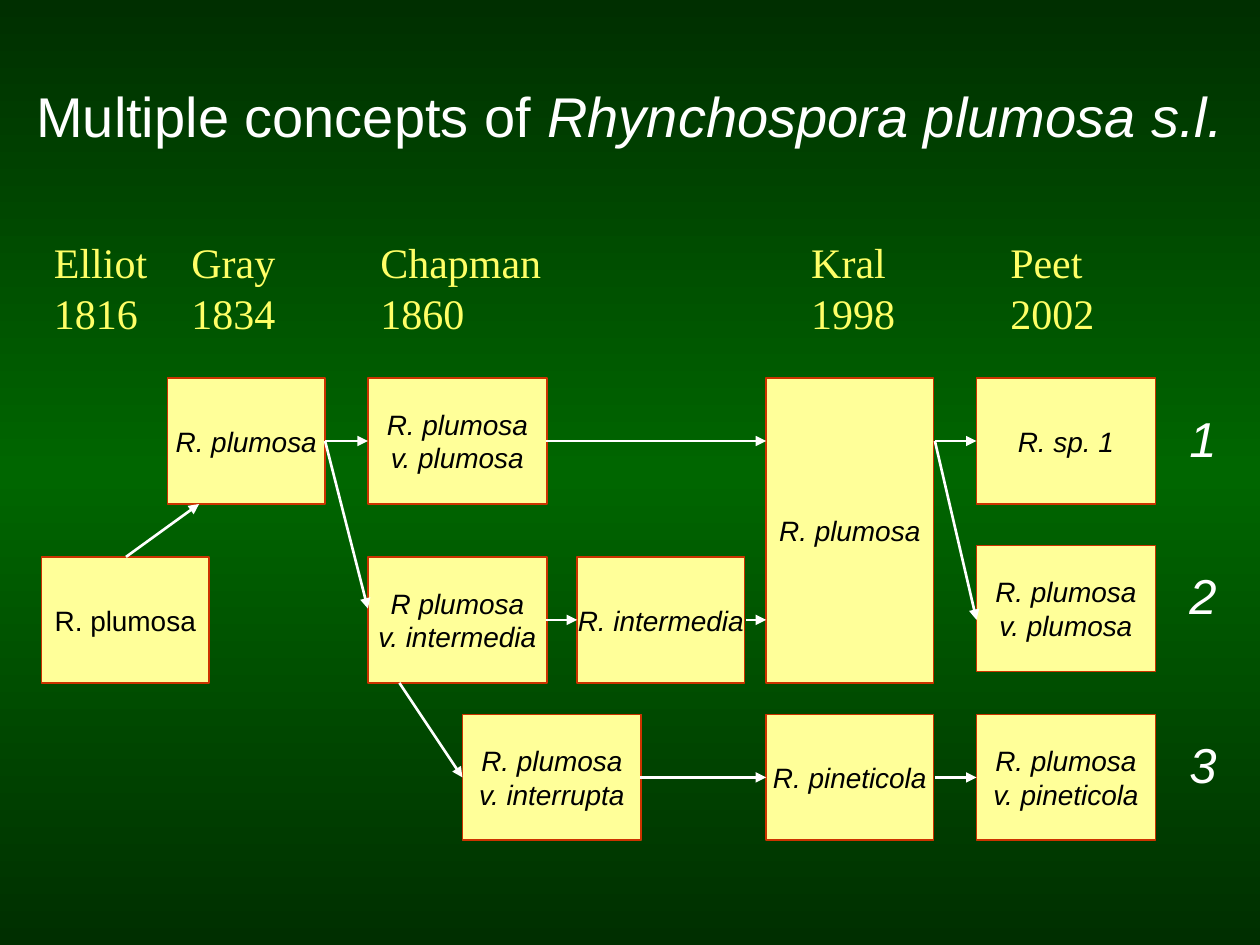
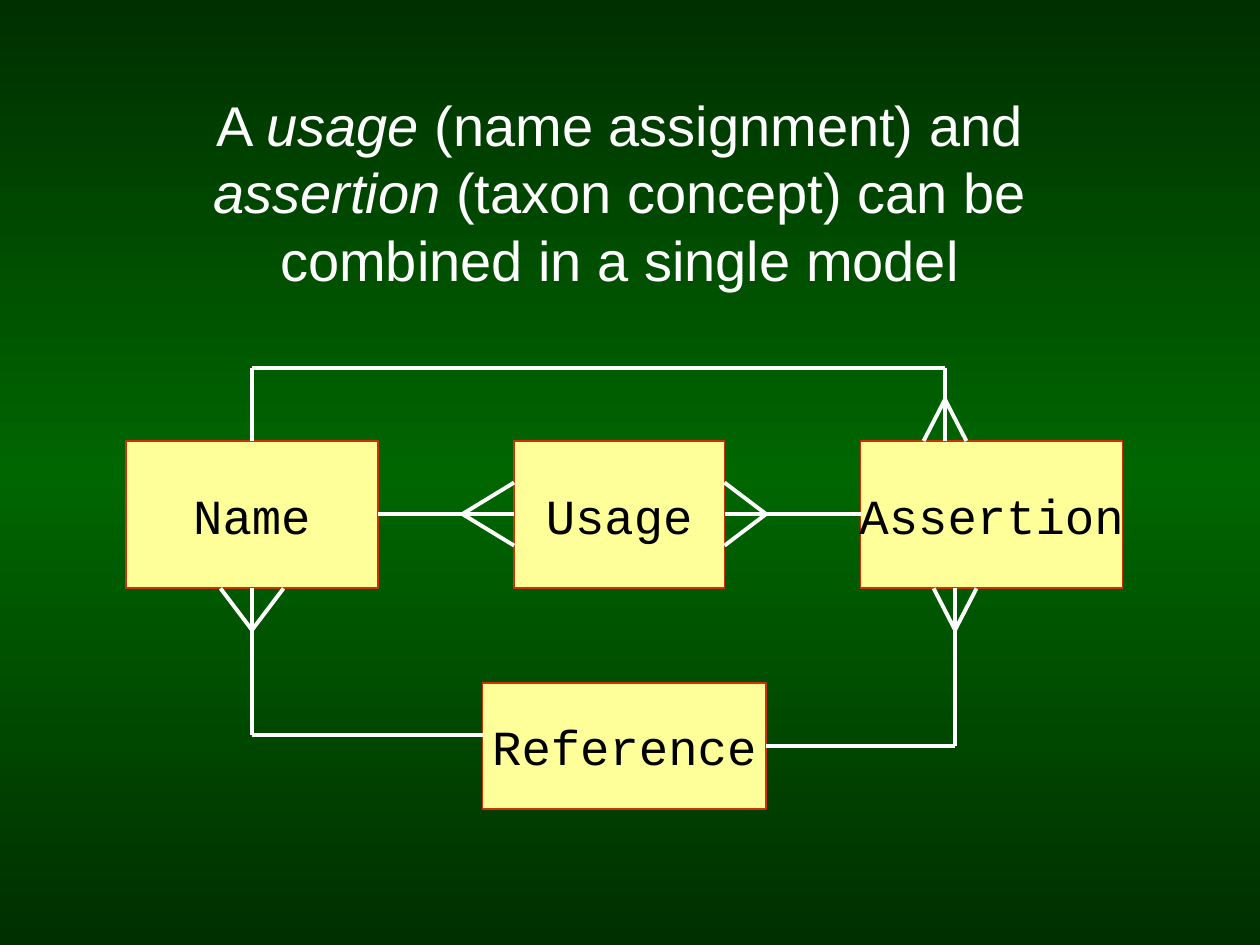
from copy import deepcopy
from itertools import pairwise

from pptx import Presentation
from pptx.dml.color import RGBColor
from pptx.enum.shapes import MSO_CONNECTOR, MSO_SHAPE
from pptx.enum.text import MSO_ANCHOR, MSO_AUTO_SIZE, PP_ALIGN
from pptx.oxml.ns import qn
from pptx.oxml.xmlchemy import OxmlElement
from pptx.util import Inches, Pt

# Shared look
GRADIENT = [(0, "002F00"), (0.5, "006600"), (1, "002F00")]
BOX_FILL, BOX_LINE, LINK = "FFFF99", "CC3300", "FFFFFF"
TITLE = {"name": "Arial", "size": 32, "color": "FFFFFF"}
TAXON = {"name": "Arial", "size": 16, "color": "000000", "italic": True}
PLAIN_TAXON = {**TAXON, "italic": False}
AUTHOR = {"name": "Times New Roman", "size": 24, "color": "FFFF66"}
NUMBER = {"name": "Arial", "size": 28, "color": "FFFFFF", "italic": True}
ENTITY = {"name": "Courier New", "size": 28, "color": "000000"}
LEADING = 1.2

# Slide 1: text in *stars* is italic, "\n" starts a paragraph
CONCEPT_TITLE = "Multiple concepts of* Rhynchospora plumosa s.l.*"
AUTHORS = [  # text, left, width
    ("Elliot 1816", 0.33, 1.02),
    ("Gray\n1834", 1.42, 0.95),
    ("Chapman\n1860", 2.92, 1.48),
    ("Kral\n1998", 6.34, 0.9),
    ("Peet\n2002", 7.92, 0.9),
]
AUTHOR_TOP, AUTHOR_HEIGHT = 1.83, 0.9
ROW1, ROW2, ROW3 = 3, 4.42, 5.67
CONCEPTS = [  # text, left, top, width, height
    ("R. plumosa", 1.33, ROW1, 1.25, 1),
    ("R plumosa\nv. intermedia", 2.92, ROW2, 1.42, 1),
    ("R. plumosa\nv. plumosa", 2.92, ROW1, 1.42, 1),
    ("R. intermedia", 4.58, ROW2, 1.33, 1),
    ("R. plumosa\nv. interrupta", 3.67, ROW3, 1.42, 1),
    ("R. pineticola", 6.08, ROW3, 1.33, 1),
    ("R. plumosa", 6.08, ROW1, 1.33, 2.42),
    ("R. sp. 1", 7.75, ROW1, 1.42, 1),
    ("R. plumosa\nv. plumosa", 7.75, 4.33, 1.42, 1),
    ("R. plumosa\nv. pineticola", 7.75, ROW3, 1.42, 1),
]
FIRST_CONCEPT = ("R. plumosa", 0.33, ROW2, 1.33, 1)
ROW_ARROWS = [  # y, then (from x, to x) pairs
    (3.5, [(2.58, 2.92), (4.33, 6.08), (7.42, 7.75)]),
    (4.92, [(4.33, 4.58), (5.92, 6.08)]),
    (6.17, [(5.08, 6.08), (7.42, 7.75)]),
]
SLANTED_ARROWS = [
    ((1, 4.42), (1.58, 4)),
    ((2.58, 3.5), (2.92, 4.83)),
    ((3.17, 5.42), (3.67, 6.17)),
    ((7.42, 3.5), (7.75, 4.92)),
]
NUMBERS = [("1", 3.19), ("2", 4.44), ("3", 5.78)]

# Slide 2
MODEL_TITLE = ("A *usage* (name assignment) and *assertion* (taxon concept) "
               "can be combined in a single model")
ENTITIES = [
    ("Name", 1, 3.5, 2, 1.17),
    ("Assertion", 6.83, 3.5, 2.08, 1.17),
    ("Usage", 4.08, 3.5, 1.67, 1.17),
    ("Reference", 3.83, 5.42, 2.25, 1),
]
RELATIONS = [  # corner points of each line
    [(3, 4.08), (4.08, 4.08)],
    [(5.75, 4.08), (6.83, 4.08)],
    [(2, 3.5), (2, 2.92), (7.5, 2.92), (7.5, 3.5)],
    [(2, 4.67), (2, 5.83), (3.83, 5.83)],
    [(6.08, 5.92), (7.58, 5.92), (7.58, 4.67)],
]
CROW_FEET = [  # apex, middle of the foot, half spread
    ((3.67, 4.08), (4.08, 4.08), 0.25),
    ((6.08, 4.08), (5.75, 4.08), 0.25),
    ((7.5, 3.17), (7.5, 3.5), 0.17),
    ((7.58, 5), (7.58, 4.67), 0.17),
    ((2, 5), (2, 4.67), 0.25),
]


def rgb(value):
    return RGBColor.from_string(value)


def paint_background(master):
    fill = master.background.fill
    fill.gradient()
    fill.gradient_angle = 90
    stop_list = master.element.find(".//" + qn("a:gsLst"))
    stop_list.insert(1, deepcopy(stop_list[0]))
    for stop, (position, color) in zip(fill.gradient_stops, GRADIENT):
        stop.position = position
        stop.color.rgb = rgb(color)


def write(tf, text, style, align, anchor, wrap):
    tf.word_wrap = wrap
    tf.vertical_anchor = anchor
    for i, line in enumerate(text.split("\n")):
        p = tf.paragraphs[0] if i == 0 else tf.add_paragraph()
        p.alignment = align
        p.line_spacing = Pt(LEADING * style["size"])
        for j, part in enumerate(line.split("*")):
            if not part:
                continue
            r = p.add_run()
            r.text = part
            values = {**style, "size": Pt(style["size"])}
            color = values.pop("color")
            if j % 2:
                values["italic"] = True
            for key, value in values.items():
                setattr(r.font, key, value)
            r.font.color.rgb = rgb(color)


def add_text(s, text, place, style, align=PP_ALIGN.LEFT,
             anchor=MSO_ANCHOR.TOP, wrap=False):
    tf = s.shapes.add_textbox(*map(Inches, place)).text_frame
    write(tf, text, style, align, anchor, wrap)
    if anchor == MSO_ANCHOR.TOP:
        tf.auto_size = MSO_AUTO_SIZE.SHAPE_TO_FIT_TEXT


def add_box(s, text, *place, style):
    sp = s.shapes.add_shape(MSO_SHAPE.RECTANGLE, *map(Inches, place))
    sp.shadow.inherit = False
    sp.fill.solid()
    sp.fill.fore_color.rgb = rgb(BOX_FILL)
    sp.line.color.rgb = rgb(BOX_LINE)
    sp.line.width = Pt(1)
    write(sp.text_frame, text, style, PP_ALIGN.CENTER, MSO_ANCHOR.MIDDLE, False)


def add_line(s, start, end, width, arrow=False):
    ends = map(Inches, (*start, *end))
    connector = s.shapes.add_connector(MSO_CONNECTOR.STRAIGHT, *ends)
    connector.line.color.rgb = rgb(LINK)
    connector.line.width = Pt(width)
    properties = connector.element.spPr
    if arrow:
        tail = OxmlElement("a:tailEnd")
        tail.set("type", "triangle")
        properties.find(qn("a:ln")).append(tail)
    properties.append(OxmlElement("a:effectLst"))


def add_crow_foot(s, apex, middle, spread):
    """Draw the two outer toes, spread across the direction of the line."""
    (ax, ay), (mx, my) = apex, middle
    for d in (-spread, spread):
        toe = (mx, my + d) if ay == my else (mx + d, my)
        add_line(s, apex, toe, 2.25)


def build_concepts(s):
    add_box(s, *FIRST_CONCEPT, style=PLAIN_TAXON)
    for concept in CONCEPTS:
        add_box(s, *concept, style=TAXON)
    add_text(s, CONCEPT_TITLE, (0.1, 0.58, 9.8, 0.67), TITLE,
             PP_ALIGN.CENTER, MSO_ANCHOR.MIDDLE)
    for text, left, width in AUTHORS:
        add_text(s, text, (left, AUTHOR_TOP, width, AUTHOR_HEIGHT), AUTHOR,
                 wrap="\n" not in text)
    for y, spans in ROW_ARROWS:
        for x1, x2 in spans:
            add_line(s, (x1, y), (x2, y), 1.5, arrow=True)
    for start, end in SLANTED_ARROWS:
        add_line(s, start, end, 1.5, arrow=True)
    for text, top in NUMBERS:
        add_text(s, text, (9.34, top, 0.42, 0.57), NUMBER)


def build_model(s):
    for entity in ENTITIES:
        add_box(s, *entity, style=ENTITY)
    add_text(s, MODEL_TITLE, (1.42, 0.67, 7, 1.7), TITLE,
             PP_ALIGN.CENTER, wrap=True)
    for points in RELATIONS:
        for start, end in pairwise(points):
            add_line(s, start, end, 2.25)
    for foot in CROW_FEET:
        add_crow_foot(s, *foot)


def main():
    prs = Presentation()
    prs.slide_width, prs.slide_height = Inches(10), Inches(7.5)
    paint_background(prs.slide_master)
    for build in (build_concepts, build_model):
        build(prs.slides.add_slide(prs.slide_layouts[6]))
    prs.save("out.pptx")


if __name__ == "__main__":
    main()
